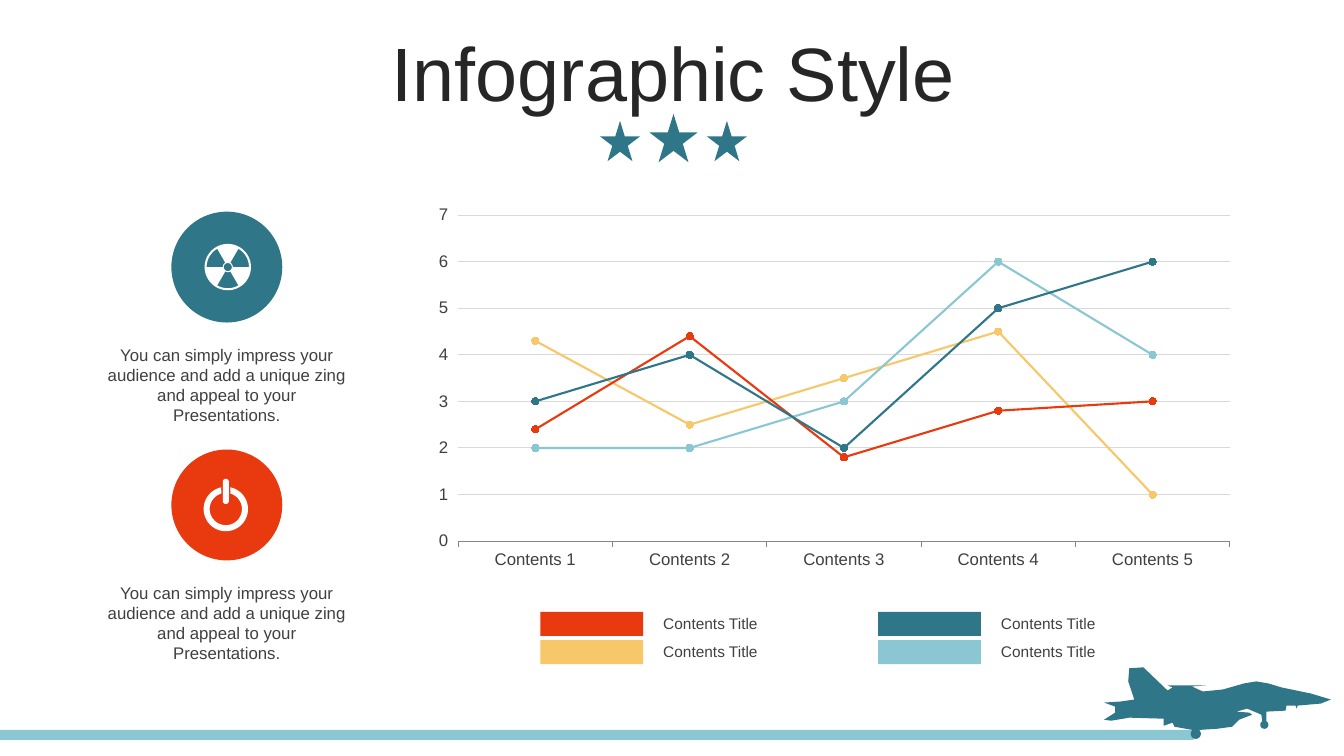
"""Build the infographic slide with a line chart, two icon notes and a jet."""
import itertools
import math
from typing import NamedTuple

import pptx
import pptx.chart.data
import pptx.dml.color
import pptx.enum.chart
import pptx.enum.shapes
import pptx.enum.text
import pptx.shapes.autoshape
import pptx.slide
import pptx.text.text
import pptx.util

Inches = pptx.util.Inches
Preset = pptx.enum.shapes.MSO_SHAPE
Align = pptx.enum.text.PP_ALIGN
Point = tuple[float, float]
Outline = list[Point]

COLORS = {
    "teal": "307689", "sky": "8AC7D3", "red": "E93A0F", "yellow": "F7C76A",
    "title": "262626", "text": "404040", "grid": "D9D9D9", "axis": "868686",
    "white": "FFFFFF",
}
FONT = "Arial"
NOTE = ("You can simply impress your audience and add a unique zing "
        "and appeal to your Presentations.")


class Star(NamedTuple):
    """A star under the title."""
    left: float
    top: float
    size: float


class Note(NamedTuple):
    """A round badge with wording below it."""
    top: float
    color: str


class Trend(NamedTuple):
    """A line of the chart."""
    name: str
    values: tuple[float, ...]
    color: str


STARS = [Star(6.44, 1.13, 0.48), Star(7.01, 1.2, 0.4), Star(5.95, 1.2, 0.4)]
KEY_ROWS = [("red", "teal"), ("yellow", "sky")]
NOTES = [Note(2.1, "teal"), Note(4.46, "red")]
TRENDS = [
    Trend("Series 1", (4.3, 2.5, 3.5, 4.5, 1), "yellow"),
    Trend("Series 2", (2.4, 4.4, 1.8, 2.8, 3), "red"),
    Trend("Series 3", (2, 2, 3, 6, 4), "sky"),
    Trend("Series 4", (3, 4, 2, 5, 6), "teal"),
]


def rgb(color: str) -> pptx.dml.color.RGBColor:
    """Return the named colour."""
    return pptx.dml.color.RGBColor.from_string(COLORS[color])


def style_font(font: pptx.text.text.Font, size: float, color: str = "text") -> None:
    """Set family, size and colour of a font."""
    font.name, font.size = FONT, pptx.util.Pt(size)
    font.color.rgb = rgb(color)


def arc(center: Point, radius: float, start: float, end: float) -> Outline:
    """Return points along an arc whose angles run clockwise from the right."""
    steps = max(2, round(abs(end - start) / 6))
    angles = [math.radians(start + (end - start) * i / steps) for i in range(steps + 1)]
    return [(center[0] + radius * math.cos(a), center[1] + radius * math.sin(a))
            for a in angles]


def band(center: Point, outer: float, inner: float, start: float, end: float,
         spread: float = 0) -> Outline:
    """Return a ring sector whose inner edge is shortened by the spread."""
    return (arc(center, outer, start, end)
            + arc(center, inner, end - spread, start + spread))


def power_icon() -> list[Outline]:
    """Return an open ring and the rounded bar in its gap."""
    x, ring_y, bar_top, bar_bottom, bar_radius = 2.24, 5.05, 4.78, 4.97, 0.03
    bar = (arc((x, bar_top), bar_radius, 180, 360)
           + arc((x, bar_bottom), bar_radius, 0, 180))
    return [band((x, ring_y), 0.22, 0.16, -78, 258, 4), bar]


def hazard_icon() -> list[Outline]:
    """Return a disc with three sectors and a hub cut out."""
    center = (2.26, 2.65)
    sectors = [band(center, 0.21, 0.05, start, start + 60) for start in (60, 180, 300)]
    return [arc(center, 0.23, 0, 360), *sectors, arc(center, 0.04, 0, 360)]


def jet() -> list[Outline]:
    """Return the jet's outline, edge by edge clockwise from the tail."""
    edges: dict[str, Outline] = {
        "upper tailplane": [(10.95, 6.97), (11.11, 6.96), (11.25, 6.94)],
        "fin": [(11.19, 6.76), (11.2, 6.63), (11.34, 6.62), (11.58, 6.85)],
        "missile": [(11.63, 6.82), (11.58, 6.8), (11.96, 6.8), (11.82, 6.81)],
        "spine": [(11.93, 6.86), (12.13, 6.84)],
        "canopy": [(12.34, 6.78), (12.46, 6.76), (12.58, 6.78), (12.71, 6.82)],
        "nose": [(13, 6.88), (13.2, 6.94), (13.1, 6.98), (12.87, 7)],
        "probe": [(12.86, 7.03), (12.85, 7), (12.76, 7), (12.75, 7.05)],
        "front strut": [(12.56, 7.06)],
        "front wheel": arc((12.54, 7.19), 0.04, -60, 240),
        "belly": [(12.51, 7.09), (12.37, 7.03), (12.26, 7.06)],
        "wing tip": [(12.39, 7.07), (12.42, 7.09), (12.29, 7.14)],
        "tank": [(12.22, 7.21), (12.07, 7.23)],
        "main wheel": arc((11.86, 7.28), 0.05, -50, 230),
        "exhaust": [(11.65, 7.21), (11.63, 7.17), (11.54, 7.2), (11.54, 7.13)],
        "lower tailplane": [(11.2, 7.12), (11.02, 7.15), (10.95, 7.14),
                            (11.06, 7.07), (11.06, 7.01)],
    }
    return [list(itertools.chain.from_iterable(edges.values()))]


def fill_plain(shape: pptx.shapes.autoshape.Shape, color: str) -> None:
    """Give a shape a solid fill without line or shadow."""
    shape.shadow.inherit = False
    shape.fill.solid()
    shape.fill.fore_color.rgb = rgb(color)
    shape.line.fill.background()


def add_preset(slide: pptx.slide.Slide, kind: Preset, left: float, top: float,
               width: float, height: float, color: str) -> None:
    """Draw a filled preset shape."""
    fill_plain(slide.shapes.add_shape(
        kind, Inches(left), Inches(top), Inches(width), Inches(height)), color)


def add_outlines(slide: pptx.slide.Slide, outlines: list[Outline], color: str) -> None:
    """Draw closed outlines as one filled freeform."""
    contours = [[(Inches(x), Inches(y)) for x, y in outline] for outline in outlines]
    builder = slide.shapes.build_freeform(*contours[0][0])
    for index, contour in enumerate(contours):
        if index:
            builder.move_to(*contour[0])
        builder.add_line_segments(contour[1:], close=True)
    fill_plain(builder.convert_to_shape(), color)


def add_text(slide: pptx.slide.Slide, left: float, top: float, width: float,
             height: float, wording: str, size: float, align: Align) -> None:
    """Draw a wrapping text box with one run."""
    frame = slide.shapes.add_textbox(
        Inches(left), Inches(top), Inches(width), Inches(height)).text_frame
    frame.word_wrap = True
    frame.auto_size = pptx.enum.text.MSO_AUTO_SIZE.SHAPE_TO_FIT_TEXT
    paragraph = frame.paragraphs[0]
    paragraph.alignment = align
    run = paragraph.add_run()
    run.text = wording
    style_font(run.font, size)


def add_title(slide: pptx.slide.Slide) -> None:
    """Place and format the slide title."""
    title = slide.shapes.title
    title.left, title.top = Inches(0.35), Inches(0.37)
    title.width, title.height = Inches(12.66), Inches(0.79)
    frame = title.text_frame
    frame.auto_size = pptx.enum.text.MSO_AUTO_SIZE.NONE
    frame.vertical_anchor = pptx.enum.text.MSO_ANCHOR.MIDDLE
    paragraph = frame.paragraphs[0]
    paragraph.alignment, paragraph.line_spacing = Align.CENTER, 0.9
    run = paragraph.add_run()
    run.text = "Infographic Style"
    style_font(run.font, 54, "title")


def add_trends(slide: pptx.slide.Slide) -> None:
    """Draw the line chart."""
    data = pptx.chart.data.CategoryChartData()
    data.categories = [f"Contents {number}" for number in range(1, 6)]
    for trend in TRENDS:
        data.add_series(trend.name, trend.values)
    chart = slide.shapes.add_chart(
        pptx.enum.chart.XL_CHART_TYPE.LINE_MARKERS, Inches(4.19), Inches(1.97),
        Inches(8.17), Inches(3.75), data).chart
    chart.has_legend = chart.has_title = False
    style_font(chart.font, 18)
    chart.plots[0].vary_by_categories = False
    for axis in (chart.category_axis, chart.value_axis):
        axis.major_tick_mark = pptx.enum.chart.XL_TICK_MARK.OUTSIDE
        style_font(axis.tick_labels.font, 12)
    chart.category_axis.format.line.color.rgb = rgb("axis")
    scale = chart.value_axis
    scale.minimum_scale, scale.maximum_scale, scale.major_unit = 0, 7, 1
    scale.format.line.fill.background()
    scale.major_gridlines.format.line.color.rgb = rgb("grid")
    scale.major_gridlines.format.line.width = pptx.util.Pt(0.75)
    for series, trend in zip(chart.plots[0].series, TRENDS):
        series.smooth = False
        series.format.line.width = pptx.util.Pt(1.5)
        series.marker.style = pptx.enum.chart.XL_MARKER_STYLE.CIRCLE
        series.marker.size = 5
        series.marker.format.fill.solid()
        series.marker.format.fill.fore_color.rgb = rgb(trend.color)
        for line in (series.format.line, series.marker.format.line):
            line.color.rgb = rgb(trend.color)


def add_keys(slide: pptx.slide.Slide) -> None:
    """Draw the colour keys in a grid of two by two."""
    for row, colors in enumerate(KEY_ROWS):
        for column, color in enumerate(colors):
            left, top = 5.36 + 3.35 * column, 6.07 + 0.28 * row
            add_preset(slide, Preset.RECTANGLE, left, top, 1.02, 0.24, color)
            add_text(slide, left + 1.12, top - 0.03, 1.36, 0.29,
                     "Contents Title", 11, Align.LEFT)


def main() -> None:
    """Build and save the slide."""
    deck = pptx.Presentation()
    deck.slide_width, deck.slide_height = Inches(13.33), Inches(7.5)
    slide = deck.slides.add_slide(deck.slide_layouts[5])
    for star in STARS:
        add_preset(slide, Preset.STAR_5_POINT, star.left, star.top,
                   star.size, star.size, "teal")
    add_preset(slide, Preset.RECTANGLE, 0, 7.24, 11.84, 0.1, "sky")
    add_outlines(slide, jet(), "teal")
    add_title(slide)
    add_trends(slide)
    add_keys(slide)
    for note in NOTES:
        add_preset(slide, Preset.OVAL, 1.7, note.top, 1.1, 1.1, note.color)
        add_text(slide, 0.97, note.top + 1.27, 2.56, 0.91, NOTE, 12, Align.CENTER)
    for icon in (power_icon(), hazard_icon()):
        add_outlines(slide, icon, "white")
    deck.save("out.pptx")


if __name__ == "__main__":
    main()
